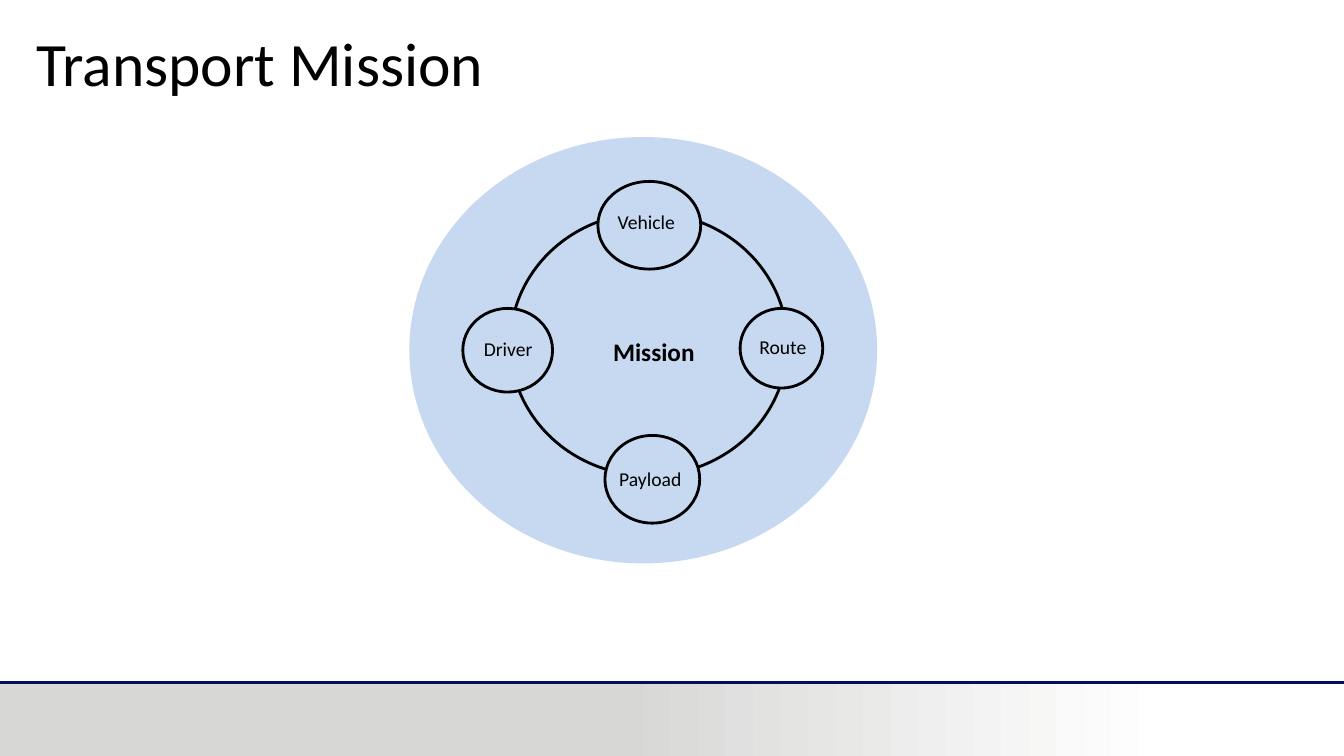
from pptx import Presentation
from pptx.dml.color import RGBColor
from pptx.enum.shapes import MSO_CONNECTOR as CONNECTOR, MSO_SHAPE as SHAPE
from pptx.enum.text import MSO_ANCHOR as ANCHOR, PP_ALIGN as ALIGN
from pptx.util import Pt
from lxml import etree

PX = 9144  # EMU per px, 100 px to the inch
WIDTH, HEIGHT = 1333, 750
FOOTER_TOP = 677

BLACK = RGBColor(0x00, 0x00, 0x00)
WHITE = RGBColor(0xFF, 0xFF, 0xFF)
GREY = RGBColor(0xD7, 0xD8, 0xD6)
NAVY = RGBColor(0x00, 0x0F, 0x60)
PALE_BLUE = RGBColor(0xC6, 0xD9, 0xF1)
DRAWING = "http://schemas.openxmlformats.org/drawingml/2006/main"


def add_shape(parent, kind, bounds, fill=None, outline=None):
    shape = parent.add_shape(kind, *[value * PX for value in bounds])
    shape.shadow.inherit = False
    if fill is None:
        shape.fill.background()
    else:
        shape.fill.solid()
        shape.fill.fore_color.rgb = fill
    if outline is None:
        shape.line.fill.background()
    else:
        shape.line.color.rgb = outline
        shape.line.width = Pt(2)
    return shape


def add_text(parent, bounds, text, size, bold=False, align=ALIGN.CENTER, wrap=False):
    box = parent.add_textbox(*[value * PX for value in bounds])
    box.text_frame.word_wrap = wrap
    box.text_frame.vertical_anchor = ANCHOR.TOP
    para = box.text_frame.paragraphs[0]
    para.alignment = align
    span = para.add_run()
    span.text = text
    span.font.color.rgb = BLACK
    for name, value in {"name": "Calibri", "size": Pt(size), "bold": bold}.items():
        setattr(span.font, name, value)
    return para


deck = Presentation()
deck.slide_width, deck.slide_height = WIDTH * PX, HEIGHT * PX
page = deck.slides.add_slide(deck.slide_layouts[6])

# Footer band
footer_height = HEIGHT - FOOTER_TOP
add_shape(page.shapes, SHAPE.RECTANGLE, (0, FOOTER_TOP, 613, footer_height), GREY)
fade = add_shape(page.shapes, SHAPE.RECTANGLE, (610, FOOTER_TOP, 547, footer_height))
fade.fill.gradient()
fade.fill.gradient_angle = 0
for stop, color in zip(fade.fill.gradient_stops, (GREY, WHITE)):
    stop.color.rgb = color

rule = page.shapes.add_connector(
    CONNECTOR.STRAIGHT, 0, FOOTER_TOP * PX, WIDTH * PX, FOOTER_TOP * PX)
rule.line.color.rgb = NAVY
rule.line.width = Pt(2)
etree.SubElement(rule._element.spPr, f"{{{DRAWING}}}effectLst")

title = add_text(page.shapes, (26, 28, 1150, 145), "Transport Mission", 44,
                 align=ALIGN.LEFT, wrap=True)
title.line_spacing = 0.9

# Mission diagram
diagram = page.shapes.add_group_shape().shapes
add_shape(diagram, SHAPE.OVAL, (406, 136, 464, 423), PALE_BLUE)
add_text(diagram, (593, 329, 111, 38), "Mission", 18, bold=True)
add_shape(diagram, SHAPE.OVAL, (506, 211, 275, 261), outline=BLACK)

nodes = [  # name, circle, label
    ("Vehicle", (593, 180, 102, 87), (600, 203, 82, 34)),
    ("Route", (734, 306, 82, 79), (740, 327, 73, 34)),
    ("Payload", (600, 432, 94, 87), (600, 458, 90, 34)),
    ("Driver", (459, 306, 89, 83), (467, 329, 74, 34)),
]
for name, circle, label in nodes:
    add_shape(diagram, SHAPE.OVAL, circle, PALE_BLUE, BLACK)
    add_text(diagram, label, name, 14)

deck.save("out.pptx")
